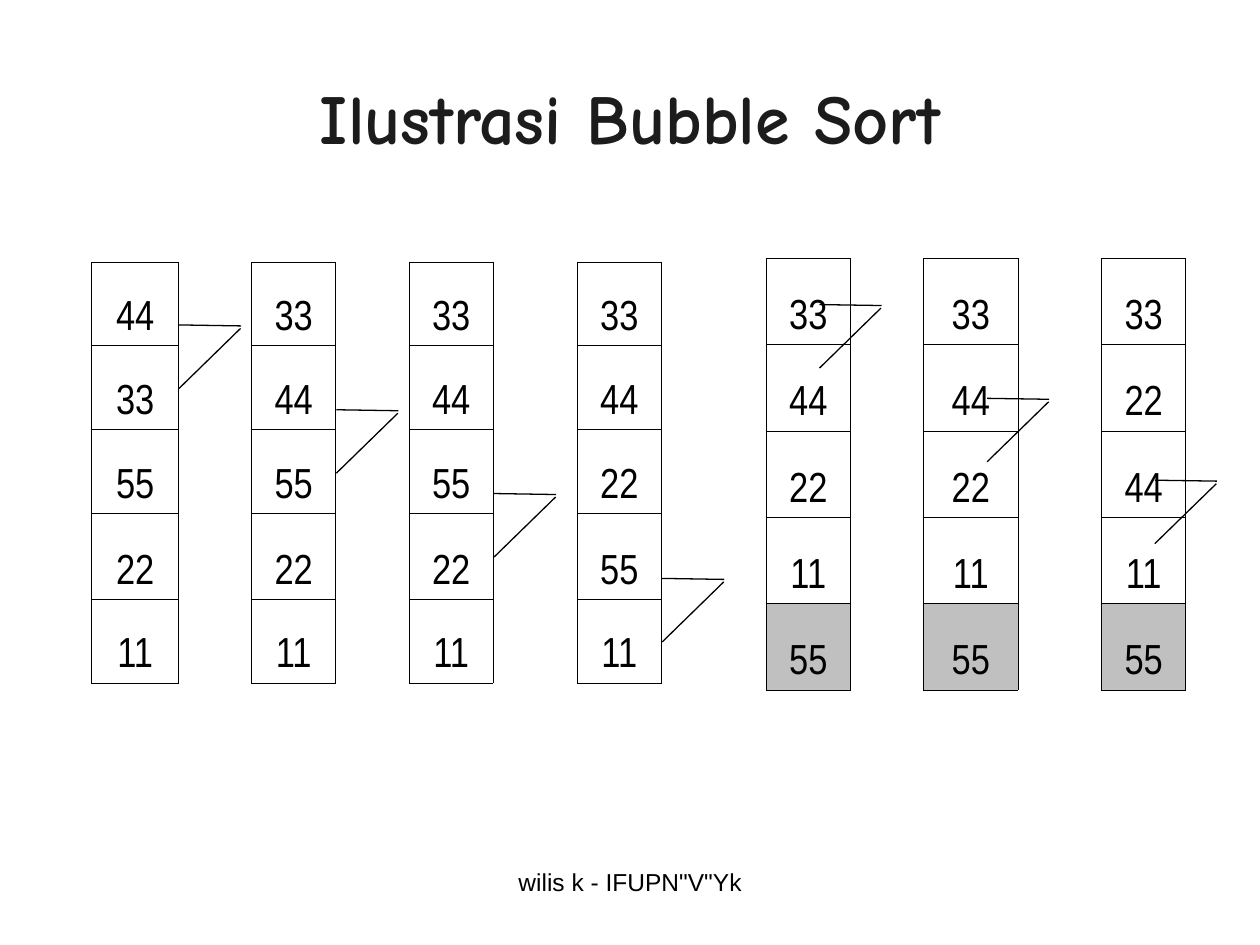
import dataclasses
import itertools

import lxml.etree
import pptx
import pptx.dml.color
import pptx.enum.shapes
import pptx.enum.text
import pptx.oxml.ns
import pptx.util

Cm = pptx.util.Cm
Pt = pptx.util.Pt
qn = pptx.oxml.ns.qn

COLORS = {"ink": "000000", "title": "1C1C1C", "sorted": "C0C0C0"}
PLAIN_TABLE_STYLE = "{2D5ABB26-0587-4C30-8999-92F81FD0307C}"
SIDES = {"a:lnL": (0, -1), "a:lnR": (0, 1), "a:lnT": (-1, 0), "a:lnB": (1, 0)}


@dataclasses.dataclass
class Pass:
    left: float
    top: float
    widths: list[float]
    heights: list[float]
    states: list[list[int]]
    sorted_count: int = 0


@dataclasses.dataclass
class Swap:
    left: float
    top: float


PASSES = [
    Pass(0.43, 5.28, [1.42, 1.75, 1.47, 1.7, 1.48, 1.69, 1.7, 1.69, 1.48],
         [1.69, 1.69, 1.69, 1.73, 1.69, 1.69],
         [[44, 33, 55, 22, 11], [33, 44, 55, 22, 11],
          [33, 44, 55, 22, 11], [33, 44, 22, 55, 11]]),
    Pass(14.81, 5.21, [0.64, 1.69, 1.48, 1.9, 1.69, 1.69, 1.27], [1.74] * 5,
         [[33, 44, 22, 11, 55], [33, 44, 22, 11, 55], [33, 22, 44, 11, 55]],
         sorted_count=1),
]

SWAPS = [
    Swap(3.61, 6.55), Swap(6.78, 8.26), Swap(9.96, 9.95), Swap(13.35, 11.66),
    Swap(16.52, 6.14), Swap(19.9, 8.03), Swap(23.28, 9.68),
]


def rgb(name: str) -> pptx.dml.color.RGBColor:
    return pptx.dml.color.RGBColor.from_string(COLORS[name])


def write(tf, text: str, font: str, size: float, color: str, bold: bool = False) -> None:
    p = tf.paragraphs[0]
    p.alignment = pptx.enum.text.PP_ALIGN.CENTER
    r = p.add_run()
    r.text = text
    r.font.name = font
    r.font.size = Pt(size)
    r.font.bold = bold
    r.font.color.rgb = rgb(color)


def add_border(cell, side: str) -> None:
    tc_pr = cell._tc.get_or_add_tcPr()
    ln = lxml.etree.SubElement(tc_pr, qn(side), w=str(Pt(0.45)))
    fill = lxml.etree.SubElement(ln, qn("a:solidFill"))
    lxml.etree.SubElement(fill, qn("a:srgbClr"), val=COLORS["ink"])


def draw_pass(s, sort_pass: Pass) -> None:
    values = {
        (row, 2 * i + 1): value
        for i, state in enumerate(sort_pass.states)
        for row, value in enumerate(state)
    }
    rows, cols = len(sort_pass.heights), len(sort_pass.widths)
    frame = s.shapes.add_table(
        rows, cols, Cm(sort_pass.left), Cm(sort_pass.top),
        Cm(sum(sort_pass.widths)), Cm(sum(sort_pass.heights)))
    table = frame.table
    table.first_row = table.horz_banding = False
    table._tbl.tblPr.find(qn("a:tableStyleId")).text = PLAIN_TABLE_STYLE
    for column, width in zip(table.columns, sort_pass.widths):
        column.width = Cm(width)
    for table_row, height in zip(table.rows, sort_pass.heights):
        table_row.height = Cm(height)

    first_sorted = len(sort_pass.states[0]) - sort_pass.sorted_count
    for row, col in itertools.product(range(rows), range(cols)):
        cell = table.cell(row, col)
        for side, (down, across) in SIDES.items():
            if (row, col) in values or (row + down, col + across) in values:
                add_border(cell, side)
        cell.fill.background()
        if (row, col) in values:
            cell.vertical_anchor = pptx.enum.text.MSO_ANCHOR.BOTTOM
            write(cell.text_frame, str(values[row, col]), "Arial Narrow", 24, "ink")
            if row >= first_sorted:
                cell.fill.solid()
                cell.fill.fore_color.rgb = rgb("sorted")


def draw_line(group, x1: float, y1: float, x2: float, y2: float) -> None:
    line = group.shapes.add_connector(
        pptx.enum.shapes.MSO_CONNECTOR.STRAIGHT, Cm(x1), Cm(y1), Cm(x2), Cm(y2))
    line.line.color.rgb = rgb("ink")
    line.line.width = Pt(0.75)
    lxml.etree.SubElement(line._element.spPr, qn("a:effectLst"))


def draw_swap(s, swap: Swap) -> None:
    group = s.shapes.add_group_shape()
    x, y = swap.left, swap.top
    draw_line(group, x, y, x + 1.25, y + 0.02)
    draw_line(group, x + 1.24, y + 0.07, x, y + 1.28)


def main() -> None:
    prs = pptx.Presentation()
    prs.slide_width, prs.slide_height = Cm(25.4), Cm(19.05)
    s = prs.slides.add_slide(prs.slide_layouts[5])

    title = s.shapes.title
    title.left, title.top, title.width, title.height = Cm(2.12), Cm(0.76), Cm(21.16), Cm(3.18)
    title.text_frame.vertical_anchor = pptx.enum.text.MSO_ANCHOR.MIDDLE
    write(title.text_frame, "Ilustrasi Bubble Sort", "Comic Neue", 40, "title", bold=True)

    footer = s.shapes.add_textbox(Cm(8.68), Cm(17.35), Cm(8.05), Cm(1.32))
    footer.text_frame.word_wrap = True
    write(footer.text_frame, 'wilis k - IFUPN"V"Yk', "Arial", 14, "ink")

    for sort_pass in PASSES:
        draw_pass(s, sort_pass)
    for swap in SWAPS:
        draw_swap(s, swap)

    prs.save("out.pptx")


if __name__ == "__main__":
    main()
